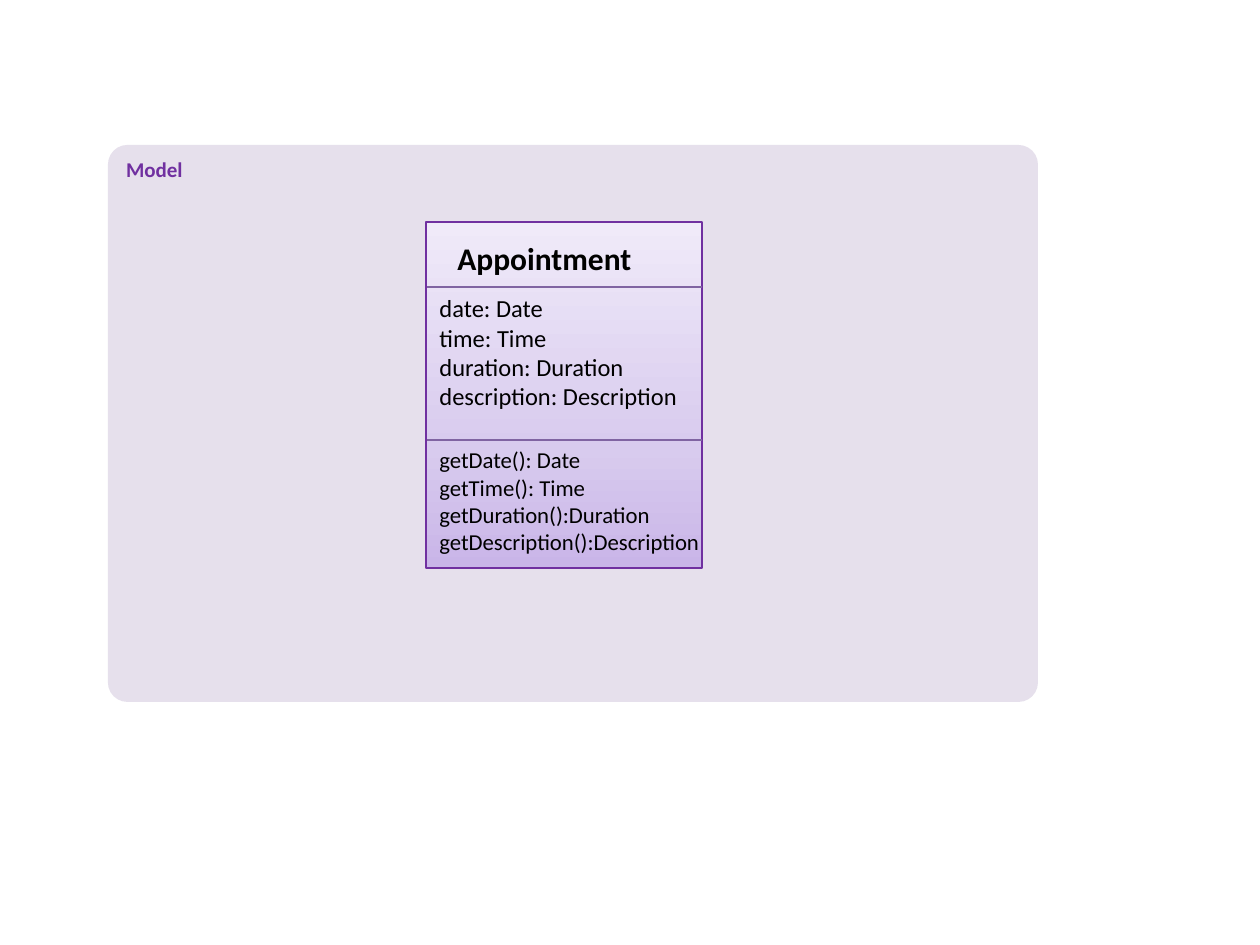
import copy

import pptx
import pptx.dml.color
import pptx.enum.shapes
import pptx.enum.text
import pptx.oxml.ns
import pptx.util
from lxml import etree

PX = 914400 / 126
RGB = pptx.dml.color.RGBColor
PANEL = RGB(0xE6, 0xE0, 0xEC)
PURPLE = RGB(0x70, 0x30, 0xA0)
DIVIDER = RGB(0x80, 0x64, 0xA2)
BLACK = RGB(0, 0, 0)
# Position and colour, from the bottom of the class box to its top
GRADIENT = [
    (0, RGB(0xC9, 0xB5, 0xE8)),
    (0.35, RGB(0xD8, 0xCB, 0xEE)),
    (1, RGB(0xF0, 0xEA, 0xF9)),
]


def emu(*lengths):
    return [pptx.util.Emu(round(length * PX)) for length in lengths]


def write(shape, lines, size, color=BLACK, bold=False):
    frame = shape.text_frame
    frame.word_wrap = True
    frame.vertical_anchor = pptx.enum.text.MSO_ANCHOR.TOP
    frame.text = "\n".join(lines)
    for para in frame.paragraphs:
        para.alignment = pptx.enum.text.PP_ALIGN.LEFT
        for span in para.runs:
            span.font.name = "Calibri"
            span.font.size = pptx.util.Pt(size)
            span.font.bold = bold
            span.font.color.rgb = color


def add_text(page, place, lines, size, bold=False):
    box = page.shapes.add_textbox(*emu(*place))
    write(box, lines, size, bold=bold)


def add_panel(page, place, label):
    panel = page.shapes.add_shape(
        pptx.enum.shapes.MSO_SHAPE.ROUNDED_RECTANGLE, *emu(*place))
    panel.adjustments[0] = 0.035
    panel.shadow.inherit = False
    panel.fill.solid()
    panel.fill.fore_color.rgb = PANEL
    panel.line.fill.background()
    write(panel, [label], 12, PURPLE, bold=True)


def add_class_box(page, place):
    box = page.shapes.add_shape(
        pptx.enum.shapes.MSO_SHAPE.RECTANGLE, *emu(*place))
    box.shadow.inherit = False
    box.line.color.rgb = PURPLE
    box.line.width = pptx.util.Pt(1.5)
    box.fill.gradient()
    box.fill.gradient_angle = 90
    # The default gradient has two stops; a third is needed
    stop_list = box._element.spPr.find(".//" + pptx.oxml.ns.qn("a:gsLst"))
    stop_list.append(copy.deepcopy(stop_list[0]))
    for stop, (position, color) in zip(box.fill.gradient_stops, GRADIENT):
        stop.position = position
        stop.color.rgb = color


def add_divider(page, left, right, y):
    divider = page.shapes.add_connector(
        pptx.enum.shapes.MSO_CONNECTOR.ELBOW, *emu(left, y, right, y))
    divider.line.color.rgb = DIVIDER
    divider.line.width = pptx.util.Pt(0.75)
    etree.SubElement(divider._element.spPr, pptx.oxml.ns.qn("a:effectLst"))


def main():
    deck = pptx.Presentation()
    deck.slide_width, deck.slide_height = emu(1260, 945)
    page = deck.slides.add_slide(deck.slide_layouts[6])

    # Model layer
    add_panel(page, (108, 145, 930, 557), "Model")

    # Class name
    add_class_box(page, (426, 222, 276, 346))
    add_text(page, (445, 233, 239, 50), ["Appointment"], 18, bold=True)

    # Attributes and methods, each below a divider
    attributes = ["date: Date", "time: Time", "duration: Duration",
                  "description: Description"]
    methods = ["getDate(): Date", "getTime(): Time", "getDuration():Duration",
               "getDescription():Description"]
    for top, width, height, lines, size in [
        (287, 270, 131, attributes, 14),
        (440, 290, 205, methods, 13),
    ]:
        add_divider(page, 427, 702, top)
        add_text(page, (427, top, width, height), lines, size)

    deck.save("out.pptx")


if __name__ == "__main__":
    main()
